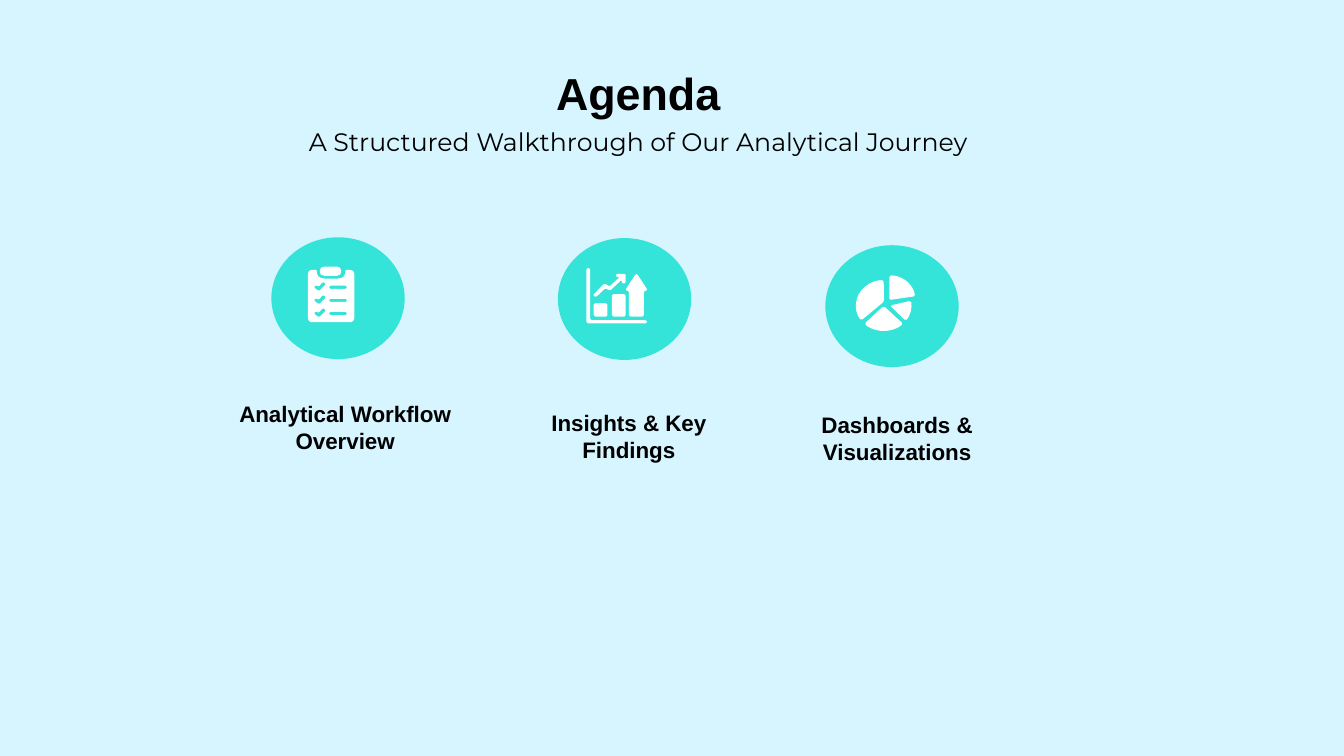
from math import cos, hypot, radians, sin

from pptx import Presentation
from pptx.dml.color import RGBColor
from pptx.enum.shapes import MSO_SHAPE
from pptx.enum.text import MSO_AUTO_SIZE, PP_ALIGN
from pptx.oxml.ns import qn
from pptx.oxml.xmlchemy import OxmlElement
from pptx.util import Cm, Pt

PALE_BLUE = RGBColor(0xD6, 0xF5, 0xFF)
TURQUOISE = RGBColor(0x34, 0xE4, 0xD9)
WHITE = RGBColor(0xFF, 0xFF, 0xFF)
BLACK = RGBColor(0x00, 0x00, 0x00)

ELLIPSE = MSO_SHAPE.OVAL
CENTER = PP_ALIGN.CENTER
GROW = MSO_AUTO_SIZE.SHAPE_TO_FIT_TEXT
CONTROL = None  # stands in place of a radius for a curve's control point

TITLE = {"name": "Arial", "size": Pt(32), "bold": True}
SUBTITLE = {"name": "Montserrat", "size": Pt(18), "bold": False}
TOPIC = {"name": "Arial", "size": Pt(16), "bold": True}


def corners(radius, *points):
    return [(x, y, radius) for x, y in points]


def box(left, top, right, bottom, radius):
    return corners(radius, (left, top), (right, top), (right, bottom), (left, bottom))


def wedge(apex, center, radii, start, end, pieces=3):
    """Pie slice: rounded apex and ends, arc on an ellipse between two angles."""
    points = [(*apex, 0.04)]
    half = (end - start) / pieces / 2
    for i in range(2 * pieces + 1):
        angle = radians(start + half * i)
        reach = 1 / cos(radians(half)) if i % 2 else 1
        radius = CONTROL if i % 2 else 0.04 if i in (0, 2 * pieces) else 0
        points.append((center[0] + radii[0] * reach * cos(angle),
                       center[1] + radii[1] * reach * sin(angle), radius))
    return points


def rounded(points):
    """Turn corners (x, y, radius) into outline points (x, y, is_control)."""
    outline = []
    for i, (x, y, radius) in enumerate(points):
        if not radius:
            outline.append((x, y, radius is CONTROL))
            continue
        ends = []
        for nx, ny, _ in (points[i - 1], points[(i + 1) % len(points)]):
            share = radius / hypot(nx - x, ny - y)
            ends.append((x + (nx - x) * share, y + (ny - y) * share, False))
        outline += [ends[0], (x, y, True), ends[1]]
    return outline


def bend(shape, controls):
    """Join each control point and the point after it into one curve."""
    path = next(shape._element.iter(qn("a:path")))
    steps = list(path)
    for i, is_control in enumerate(controls):
        if is_control:
            curve = OxmlElement("a:quadBezTo")
            path.replace(steps[i], curve)
            path.remove(steps[i + 1])
            curve.append(steps[i][0])
            curve.append(steps[i + 1][0])


class AgendaSlide:
    def __init__(self, presentation):
        self.slide = presentation.slides.add_slide(presentation.slide_layouts[6])
        self.shapes = self.slide.shapes
        self.slide.background.fill.solid()
        self.slide.background.fill.fore_color.rgb = PALE_BLUE

    def paint(self, shape, color):
        shape.shadow.inherit = False
        shape.fill.solid()
        shape.fill.fore_color.rgb = color
        shape.line.fill.background()

    def disc(self, left, top):
        disc = self.shapes.add_shape(ELLIPSE, Cm(left), Cm(top), Cm(3.36), Cm(3.07))
        self.paint(disc, TURQUOISE)

    def text(self, words, left, top, width, height, style):
        frame = self.shapes.add_textbox(
            Cm(left), Cm(top), Cm(width), Cm(height)).text_frame
        frame.word_wrap = True
        frame.auto_size = GROW
        paragraph = frame.paragraphs[0]
        paragraph.alignment = CENTER
        run = paragraph.add_run()
        run.text = words
        for key, value in style.items():
            setattr(run.font, key, value)
        run.font.color.rgb = BLACK

    def icon(self, left, top, parts):
        """Each part is a list of contours; later contours cut holes."""
        group = self.shapes.add_group_shape()
        for contours in parts:
            builder = None
            controls = []
            for contour in contours:
                outline = rounded(contour)
                first, *rest = [(Cm(left + x), Cm(top + y)) for x, y, _ in outline]
                if builder is None:
                    builder = group.shapes.build_freeform(*first, scale=1.0)
                else:
                    builder.move_to(*first)
                builder.add_line_segments(rest, close=True)
                controls += [is_control for _, _, is_control in outline] + [False]
            part = builder.convert_to_shape()
            bend(part, controls)
            self.paint(part, WHITE)


# Clipboard: clip, and a board with three checked rows cut out
board = [[(0, 0.08, 0.12), (0.22, 0.08, 0), (0.22, 0.3, 0.2), (0.95, 0.3, 0.2),
          (0.95, 0.08, 0), (1.17, 0.08, 0.12), (1.17, 1.4, 0.12), (0, 1.4, 0.12)]]
for row in range(3):
    y = 0.33 * row
    board.append(corners(0.03, (0.38, 0.38 + y), (0.46, 0.44 + y), (0.28, 0.62 + y),
                         (0.15, 0.52 + y), (0.2, 0.46 + y), (0.27, 0.51 + y)))
    board.append(box(0.53, 0.48 + y, 0.99, 0.56 + y, 0.04))
CLIPBOARD = [[box(0.3, 0, 0.84, 0.23, 0.11)], board]

# Growth chart: trend arrow, two bars, upward arrow and axes
GROWTH = [[contour] for contour in (
    corners(0.03, (0.16, 0.69), (0.46, 0.39), (0.58, 0.47), (0.84, 0.23),
            (0.74, 0.23), (0.74, 0.15), (0.99, 0.15), (0.99, 0.39),
            (0.89, 0.39), (0.89, 0.3), (0.59, 0.58), (0.48, 0.51), (0.24, 0.74)),
    box(0.18, 0.89, 0.53, 1.23, 0.04),
    box(0.64, 0.66, 0.99, 1.23, 0.04),
    corners(0.06, (0.97, 0.57), (1.26, 0.13), (1.55, 0.57), (1.45, 0.57),
            (1.45, 1.23), (1.07, 1.23), (1.07, 0.57)),
    corners(0.04, (0, 0), (0.09, 0), (0.09, 1.32), (1.53, 1.32), (1.53, 1.4), (0, 1.4)),
)]

# Pie: one slice pulled out, three on a shared ellipse
RING = ((0.7, 0.77), (0.7, 0.64))
PIE = [[contour] for contour in (
    wedge((0.84, 0.63), (0.87, 0.62), (0.63, 0.61), -92, -8),
    wedge((0.7, 0.78), *RING, 46, 134),
    wedge((0.86, 0.77), *RING, -11, 37, pieces=2),
    wedge((0.71, 0.67), *RING, 144, 270),
)]

# Topic, label box (left, top, width), disc corner, icon corner, icon
TOPICS = [
    ("Dashboards & Visualizations", (19.84, 10.24, 5.54), (20.8, 6.18), (21.57, 6.93), PIE),
    ("Analytical Workflow Overview", (5.69, 9.97, 6.02), (6.84, 5.98), (7.76, 6.72), CLIPBOARD),
    ("Insights & Key Findings", (13.08, 10.19, 5.54), (14.06, 6.0), (14.78, 6.75), GROWTH),
]


def main():
    presentation = Presentation()
    presentation.slide_width = Cm(33.87)
    presentation.slide_height = Cm(19.05)
    agenda = AgendaSlide(presentation)

    # Agenda topics
    for topic, label, disc, corner, icon in TOPICS:
        agenda.disc(*disc)
        agenda.text(topic, *label, 1.62, TOPIC)
        agenda.icon(*corner, icon)

    # Heading
    agenda.text("Agenda", 6.05, 1.52, 20.07, 1.62, TITLE)
    agenda.text("A Structured Walkthrough of Our Analytical Journey",
                6.05, 3.07, 20.07, 1.03, SUBTITLE)

    presentation.save("out.pptx")


if __name__ == "__main__":
    main()
